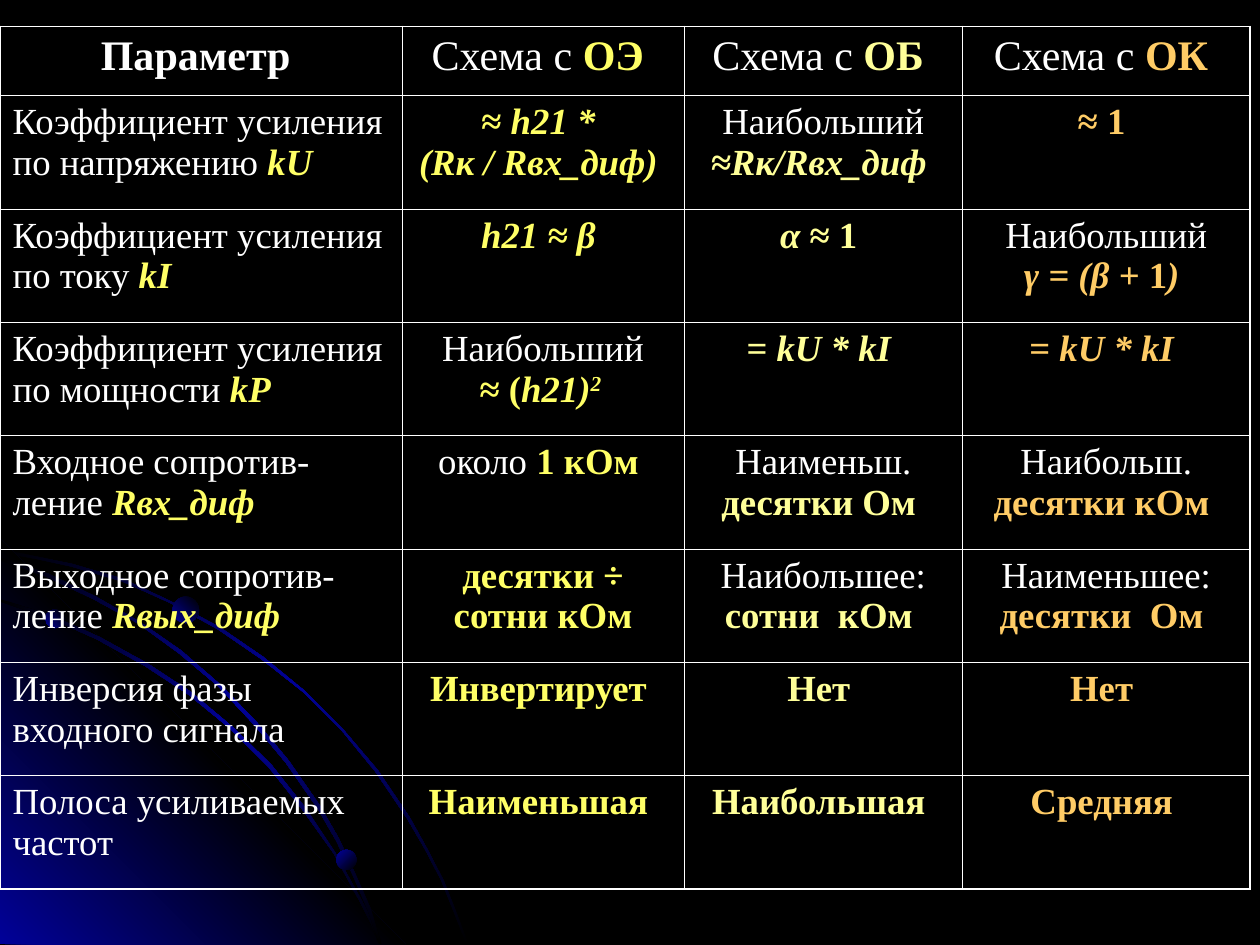
from lxml.etree import SubElement
from pptx import Presentation
from pptx.dml.color import RGBColor
from pptx.enum.shapes import MSO_SHAPE
from pptx.enum.text import PP_ALIGN
from pptx.oxml import parse_xml
from pptx.oxml.ns import nsdecls, qn
from pptx.util import Inches, Pt

BLACK = RGBColor(0x00, 0x00, 0x00)
BLUE = RGBColor(0x01, 0x01, 0x99)
WHITE = RGBColor(0xFF, 0xFF, 0xFF)
YELLOW = RGBColor(0xFF, 0xFF, 0x66)
PALE_YELLOW = RGBColor(0xFF, 0xFF, 0x99)
ORANGE = RGBColor(0xFF, 0xCC, 0x66)

FONT = "Times New Roman"
ACCENTS = [YELLOW, YELLOW, PALE_YELLOW, ORANGE]
COLUMNS = [319, 224, 221, 228]
ROWS = [55] + [90] * 7
PLAIN, HEAD, BOLD, ITALIC, SUPER = range(5)

GAIN = "Коэффициент усиления "
BIGGEST = [("Наибольший", PLAIN)]
PRODUCT = [[("= ", BOLD), ("kU * kI ", ITALIC)]]

CELLS = [
    [[[("Параметр ", HEAD)]]]
    + [[[("Схема с ", PLAIN), (name, BOLD)]] for name in ("ОЭ ", "ОБ ", "ОК ")],
    [[[(GAIN + "по напряжению ", PLAIN), ("kU", ITALIC)]],
     [[("≈ ", BOLD), ("h21 * ", ITALIC)], [("(Rк / Rвх_диф) ", ITALIC)]],
     [BIGGEST, [("≈Rк/Rвх_диф ", ITALIC)]],
     [[("≈ 1 ", BOLD)]]],
    [[[(GAIN + "по току ", PLAIN), ("kI", ITALIC)]],
     [[("h21 ≈ β ", ITALIC)]],
     [[("α", ITALIC), (" ≈ 1 ", BOLD)]],
     [BIGGEST, [("γ = (β + ", ITALIC), ("1", BOLD), (") ", ITALIC)]]],
    [[[(GAIN + "по мощности ", PLAIN), ("kР", ITALIC)]],
     [BIGGEST, [("≈ (", BOLD), ("h21)", ITALIC), ("2 ", SUPER)]],
     PRODUCT,
     PRODUCT],
    [[[("Входное сопротив-ление ", PLAIN), ("Rвх_диф", ITALIC)]],
     [[("около ", PLAIN), ("1 кОм ", BOLD)]],
     [[("Наименьш.", PLAIN)], [("десятки Ом ", BOLD)]],
     [[("Наибольш.", PLAIN)], [("десятки кОм ", BOLD)]]],
    [[[("Выходное сопротив-ление ", PLAIN), ("Rвых_диф", ITALIC)]],
     [[("десятки ÷ сотни кОм", BOLD)]],
     [[("Наибольшее:", PLAIN)], [("сотни  кОм ", BOLD)]],
     [[("Наименьшее:", PLAIN)], [("десятки  Ом ", BOLD)]]],
    [[[("Инверсия фазы входного сигнала", PLAIN)]]]
    + [[[(answer, BOLD)]] for answer in ("Инвертирует ", "Нет ", "Нет ")],
    [[[("Полоса усиливаемых частот", PLAIN)]]]
    + [[[(band, BOLD)]] for band in ("Наименьшая ", "Наибольшая ", "Средняя ")],
]

OUTER_ARC = [
    (57, 20), (28, 14), (0, 8), (0, 11), (28, 16), (56, 22), (97, 34), (135, 51),
    (173, 72), (208, 96), (241, 122), (271, 152), (298, 185), (323, 222), (337, 246),
    (350, 271), (360, 296), (370, 322), (372, 322), (362, 296), (352, 271), (339, 246),
    (325, 221), (300, 184), (272, 151), (242, 121), (209, 94), (174, 70), (136, 50), (98, 32)]
GLOW = [(322, 322), (0, 322), (0, 0)]
INNER_ARC = [
    (285, 287), (294, 305), (301, 322), (303, 322), (296, 303), (286, 285), (266, 249),
    (242, 213), (215, 179), (184, 149), (152, 122), (117, 99), (79, 78), (41, 61), (0, 48),
    (0, 50), (39, 63), (77, 80), (115, 101), (150, 124), (183, 151), (213, 181), (240, 215),
    (265, 250)]
MIDDLE_ARC = [
    (0, 15), (0, 17), (36, 30), (74, 48), (109, 67), (142, 91), (173, 117), (202, 148),
    (227, 178), (252, 214), (267, 240), (280, 267), (292, 295), (301, 322), (303, 322),
    (294, 293), (282, 266), (269, 238), (254, 212), (229, 176), (204, 146), (175, 116),
    (144, 89), (111, 66), (76, 46), (39, 28)]
BALLS = [(36, 56, 15, 135), (267, 247, 16, 225), (137, 46, 21, 135)]


def paint_gradient(shape, colors, angle):
    """Fill a shape with evenly spaced colours along a clockwise angle."""
    shape.shadow.inherit = False
    shape.line.fill.background()
    shape.fill.gradient()
    gradient = shape.fill._xPr.find(qn("a:gradFill"))
    stops = gradient.find(qn("a:gsLst"))
    for stop in list(stops):
        stops.remove(stop)
    for index, color in enumerate(colors):
        share = 100000 * index // (len(colors) - 1)
        stop = SubElement(stops, qn("a:gs"), pos=str(share))
        SubElement(stop, qn("a:srgbClr"), val=str(color))
    gradient.find(qn("a:lin")).set("ang", str(angle * 60000))


def draw_orbits(slide, left, top, width):
    """Draw the corner glow, the arcs and their balls on a grid 372 units wide."""
    unit = width / 372
    bands = [(OUTER_ARC, (BLACK, BLUE, BLACK), 225), (GLOW, (BLUE, BLACK, BLUE), 135),
             (INNER_ARC, (BLACK, BLUE, BLACK), 225), (MIDDLE_ARC, (BLACK, BLUE, BLACK), 225)]
    for points, colors, angle in bands:
        builder = slide.shapes.build_freeform(*points[0], scale=unit)
        builder.add_line_segments(points[1:], close=True)
        paint_gradient(builder.convert_to_shape(left, top), colors, angle)
    for x, y, size, angle in BALLS:
        ball = slide.shapes.add_shape(
            MSO_SHAPE.OVAL, int(left + x * unit), int(top + y * unit),
            int(size * unit), int(size * unit))
        paint_gradient(ball, (BLACK, BLUE), angle)


def draw_borders(cell, row, column):
    """Give a cell thin white edges, thicker along the outside of the table."""
    outside = {"L": column == 0, "R": column == len(COLUMNS) - 1,
               "T": row == 0, "B": row == len(ROWS) - 1}
    properties = cell._tc.get_or_add_tcPr()
    for position, (side, is_outer) in enumerate(outside.items()):
        weight = Pt(1.08 if is_outer else 0.45)
        properties.insert(position, parse_xml(
            f'<a:ln{side} {nsdecls("a")} w="{weight}"><a:solidFill>'
            f'<a:srgbClr val="{WHITE}"/></a:solidFill></a:ln{side}>'))


def write_cell(cell, paragraphs, accent, size, align):
    """Write styled runs into a cell, one list of runs to a paragraph."""
    frame = cell.text_frame
    for index, runs in enumerate(paragraphs):
        paragraph = frame.add_paragraph() if index else frame.paragraphs[0]
        paragraph.alignment = align
        for text, style in runs:
            run = paragraph.add_run()
            run.text = text
            font = run.font
            font.name, font.size = FONT, size
            font.bold = style != PLAIN
            font.italic = style in (ITALIC, SUPER)
            font.color.rgb = WHITE if style in (PLAIN, HEAD) else accent
            if style == SUPER:
                font._element.set("baseline", "30000")


def draw_comparison(slide, left, top, width, height):
    """Place the table comparing the three amplifier circuits."""
    table = slide.shapes.add_table(len(ROWS), len(COLUMNS), left, top, width, height).table
    table.first_row = table.horz_banding = False
    for column, share in zip(table.columns, COLUMNS):
        column.width = int(width * share / sum(COLUMNS))
    for row, share in zip(table.rows, ROWS):
        row.height = int(height * share / sum(ROWS))
    for r, line in enumerate(CELLS):
        for c, paragraphs in enumerate(line):
            cell = table.cell(r, c)
            cell.fill.background()
            draw_borders(cell, r, c)
            centred = r == 0 or c > 0
            write_cell(cell, paragraphs, ACCENTS[c], Pt(21 if r else 24),
                       PP_ALIGN.CENTER if centred else PP_ALIGN.LEFT)


def main():
    """Build the slide and save it."""
    deck = Presentation()
    deck.slide_width, deck.slide_height = Inches(10), Inches(7.5)
    wide, high = deck.slide_width, deck.slide_height
    slide = deck.slides.add_slide(deck.slide_layouts[6])
    slide.background.fill.solid()
    slide.background.fill.fore_color.rgb = BLACK
    draw_orbits(slide, 0, int(high * 0.57), int(wide * 0.372))
    draw_comparison(slide, 0, int(high * 0.028), int(wide * 0.992), int(high * 0.913))
    deck.save("out.pptx")


if __name__ == "__main__":
    main()
